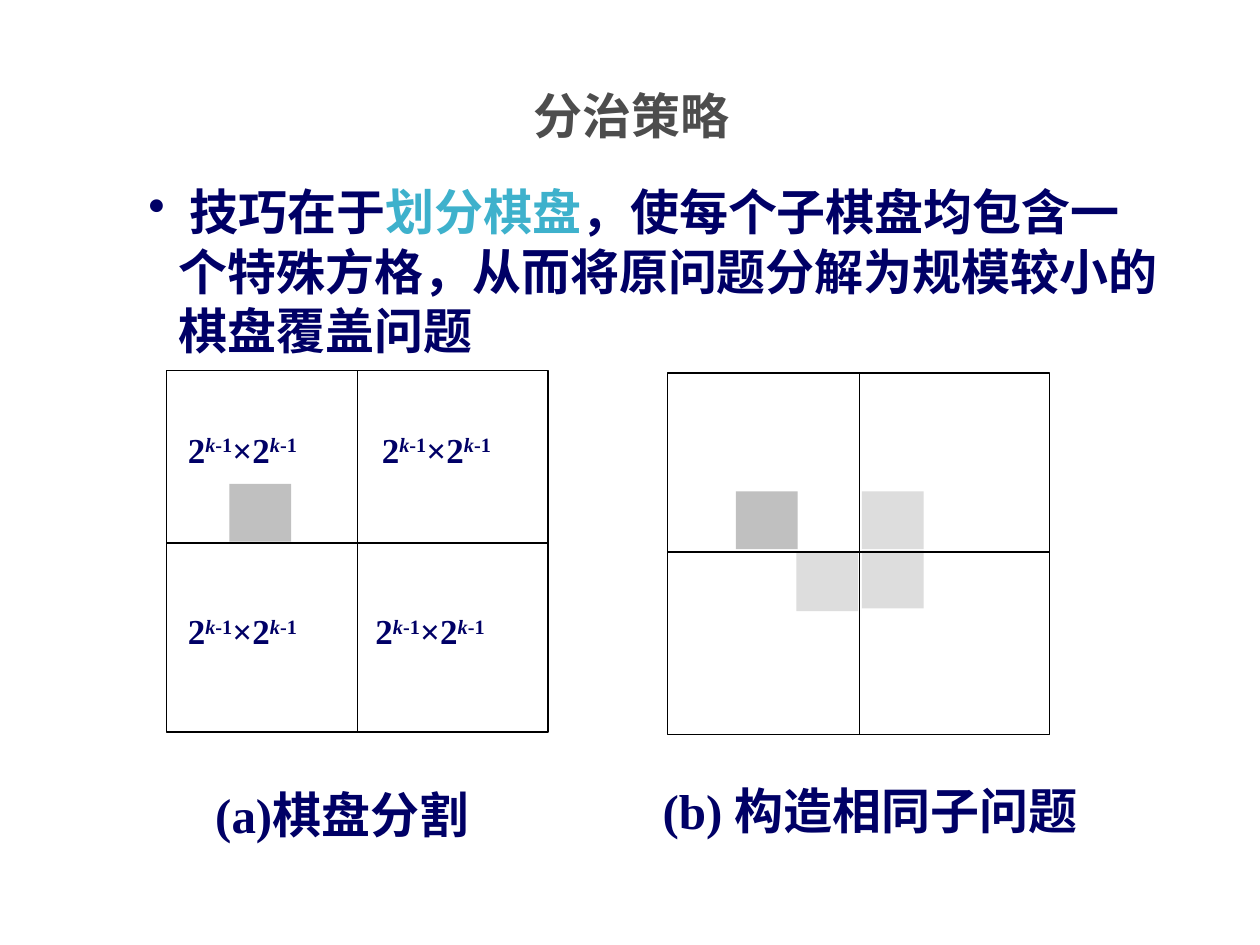
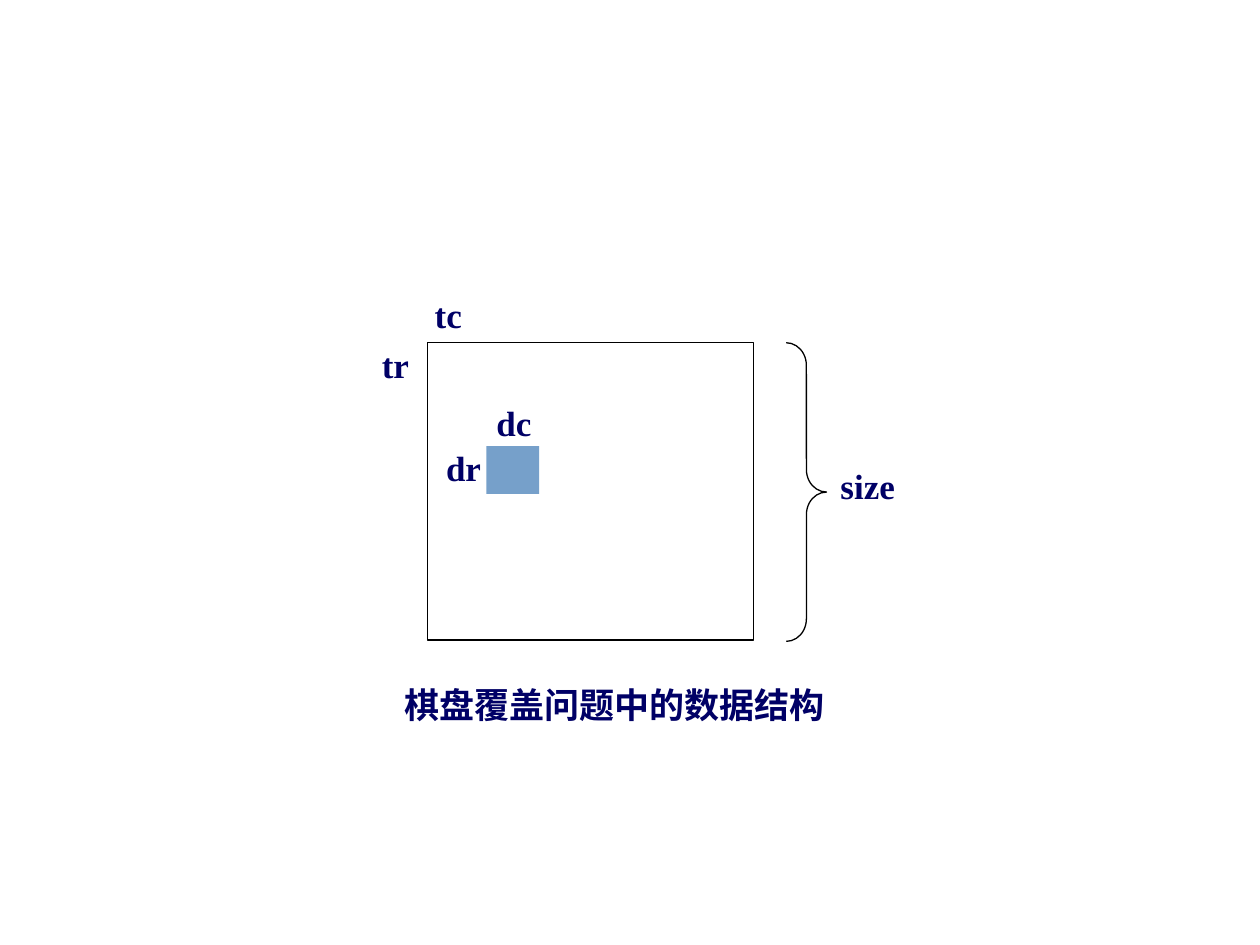
import pptx
import pptx.util
import pptx.dml.color
import pptx.enum.shapes
import pptx.enum.text
import pptx.oxml
import pptx.oxml.ns
from dataclasses import dataclass
from lxml import etree

SHAPE = pptx.enum.shapes.MSO_SHAPE
ALIGN = pptx.enum.text.PP_ALIGN
COLUMNS, ROWS = 100, 75


@dataclass(frozen=True)
class Theme:
    ink: str = "000066"
    title: str = "4D4D4D"
    accent: str = "3EB1CC"
    line: str = "000000"
    paper: str = "FFFFFF"
    special: str = "C0C0C0"
    cover: str = "DDDDDD"
    marked: str = "76A0CA"
    serif: str = "Times New Roman"
    sans: str = "Cabin"
    cjk: str = "Noto Sans CJK SC"
    large: int = 28
    small: int = 20
    stroke: float = 0.75


@dataclass(frozen=True)
class Box:
    x: float
    y: float
    w: float
    h: float

    def inner(self, x, y, w, h):
        return Box(self.x + x, self.y + y, w, h)

    def emu(self):
        return [cells(v) for v in (self.x, self.y, self.w, self.h)]


THEME = Theme()


def cells(value):
    return pptx.util.Inches(value * 10 / COLUMNS)


def rgb(value):
    return pptx.dml.color.RGBColor.from_string(value)


def style(p, size, face=THEME.serif, color=THEME.ink, align=ALIGN.JUSTIFY):
    p.alignment = align
    font = p.font
    font.size, font.bold, font.name = pptx.util.Pt(size), True, face
    font.color.rgb = rgb(color)
    rPr = p._p.pPr.find(pptx.oxml.ns.qn("a:defRPr"))
    ea = etree.Element(pptx.oxml.ns.qn("a:ea"), typeface=THEME.cjk)
    rPr.find(pptx.oxml.ns.qn("a:latin")).addnext(ea)


def add_text(s, box, text="", size=THEME.small, margins=(0, 0), **look):
    tf = s.shapes.add_textbox(*box.emu()).text_frame
    tf.word_wrap = True
    tf.margin_left = tf.margin_right = cells(margins[0])
    tf.margin_top = tf.margin_bottom = cells(margins[1])
    p = tf.paragraphs[0]
    if text:
        p.add_run().text = text
    style(p, size, **look)
    return p


def add_caption(s, box, text, size, margins=(1, 0), align=ALIGN.JUSTIFY):
    p = add_text(s, box, text, size, margins, align=align)
    p.line_spacing = pptx.util.Pt(round(size * 1.29))


def add_figure(s, box, kind=SHAPE.RECTANGLE, fill=None, outlined=False):
    sp = s.shapes.add_shape(kind, *box.emu())
    sp.shadow.inherit = False
    if fill:
        sp.fill.solid()
        sp.fill.fore_color.rgb = rgb(fill)
    else:
        sp.fill.background()
    if outlined:
        sp.line.color.rgb = rgb(THEME.line)
        sp.line.width = pptx.util.Pt(THEME.stroke)
    else:
        sp.line.fill.background()
    return sp


def add_rule(s, x1, y1, x2, y2):
    line = s.shapes.add_connector(
        pptx.enum.shapes.MSO_CONNECTOR.STRAIGHT, *map(cells, (x1, y1, x2, y2)))
    line.line.color.rgb = rgb(THEME.line)
    line.line.width = pptx.util.Pt(THEME.stroke)
    etree.SubElement(line._element.spPr, pptx.oxml.ns.qn("a:effectLst"))


def add_title(s, box, text):
    sp = s.shapes.title
    sp.left, sp.top, sp.width, sp.height = box.emu()
    tf = sp.text_frame
    tf.text = text
    tf.auto_size = pptx.enum.text.MSO_AUTO_SIZE.NONE
    tf.vertical_anchor = pptx.enum.text.MSO_ANCHOR.TOP
    p = tf.paragraphs[0]
    style(p, THEME.large, THEME.cjk, THEME.title, ALIGN.CENTER)
    p.line_spacing = 0.9


def add_strategy(s, box):
    p = add_text(s, box, size=THEME.large, margins=(1, 0.5),
                 face=THEME.sans, align=ALIGN.LEFT)
    p.line_spacing = pptx.util.Pt(34)
    for text, color in ((" 技巧在于", THEME.ink), ("划分棋盘", THEME.accent),
                        ("，使每个子棋盘均包含一个特殊方格，从而将原问题分解为规模较小的棋盘覆盖问题",
                         THEME.ink)):
        r = p.add_run()
        r.text = text
        r.font.color.rgb = rgb(color)
    pPr = p._p.pPr
    pPr.set("marL", str(cells(2.4)))
    pPr.set("indent", str(-cells(2.4)))
    bullet = etree.Element(pptx.oxml.ns.qn("a:buChar"), char="•")
    pPr.find(pptx.oxml.ns.qn("a:defRPr")).addprevious(bullet)


def add_power_label(s, box):
    p = add_text(s, box)
    for base in ("2", "×2"):
        for text, raised in ((base, False), ("k", True), ("-1", True)):
            r = p.add_run()
            r.text = text
            if raised:
                r.font.italic = text == "k"
                r._r.get_or_add_rPr().set("baseline", "30000")


def add_board(s, box, row_split, squares):
    add_figure(s, box, fill=THEME.paper, outlined=True)
    for x, y, fill in squares:
        add_figure(s, box.inner(x, y, 4.9, 4.6), fill=fill)
    middle = box.x + 15.2
    add_rule(s, middle, box.y, middle, box.y + box.h)
    add_rule(s, box.x, box.y + row_split, box.x + box.w, box.y + row_split)


def strategy_slide(prs):
    s = prs.slides.add_slide(prs.slide_layouts[5])
    add_title(s, Box(5.1, 6.8, 90, 7.9), "分治策略")
    split = Box(13.2, 29.4, 30.3, 28.7)
    add_board(s, split, 13.7, [(5, 9, THEME.special)])
    for x, y in ((1.7, 4.6), (17.1, 4.6), (1.7, 19), (16.6, 19)):
        add_power_label(s, split.inner(x, y, 12.2, 4.4))
    add_board(s, Box(53, 29.6, 30.3, 28.7), 14.2, [
        (5.4, 9.4, THEME.special), (10.2, 14.3, THEME.cover),
        (15.4, 14.1, THEME.cover), (15.4, 9.4, THEME.cover)])
    add_caption(s, Box(16.1, 61.9, 24.2, 6.3), "(a)棋盘分割", THEME.large)
    add_caption(s, Box(51.6, 61.1, 39.2, 5.7), "(b) 构造相同子问题",
                THEME.large, (1, 0.5), ALIGN.LEFT)
    add_strategy(s, Box(10.8, 13.9, 82.5, 15))


def add_data_structure(s, box):
    add_figure(s, box, outlined=True)
    add_figure(s, box.inner(4.7, 8.2, 4.2, 3.8), fill=THEME.marked)
    brace = add_figure(s, box.inner(28.5, 0, 3.2, 23.7), SHAPE.LEFT_BRACE,
                       outlined=True)
    brace.rotation = 180
    brace.adjustments[0], brace.adjustments[1] = 0.56, 0.5
    for text, x, y, w in (("dc", 5.5, 4.7, 3.7), ("dr", 1.5, 8.2, 3.7),
                          ("tr", -3.6, 0.1, 2.9), ("tc", 0.6, -3.9, 3.7),
                          ("size", 32.8, 9.7, 5.5)):
        add_text(s, box.inner(x, y, w, 3.1), text)
    add_caption(s, box.inner(-2.8, 26.8, 37, 6.3), "棋盘覆盖问题中的数据结构",
                THEME.small)


def data_structure_slide(prs):
    s = prs.slides.add_slide(prs.slide_layouts[6])
    add_data_structure(s, Box(33.9, 27.2, 25.9, 23.6))


def main():
    prs = pptx.Presentation()
    prs.slide_width, prs.slide_height = cells(COLUMNS), cells(ROWS)
    strategy_slide(prs)
    data_structure_slide(prs)
    prs.save("out.pptx")


if __name__ == "__main__":
    main()
